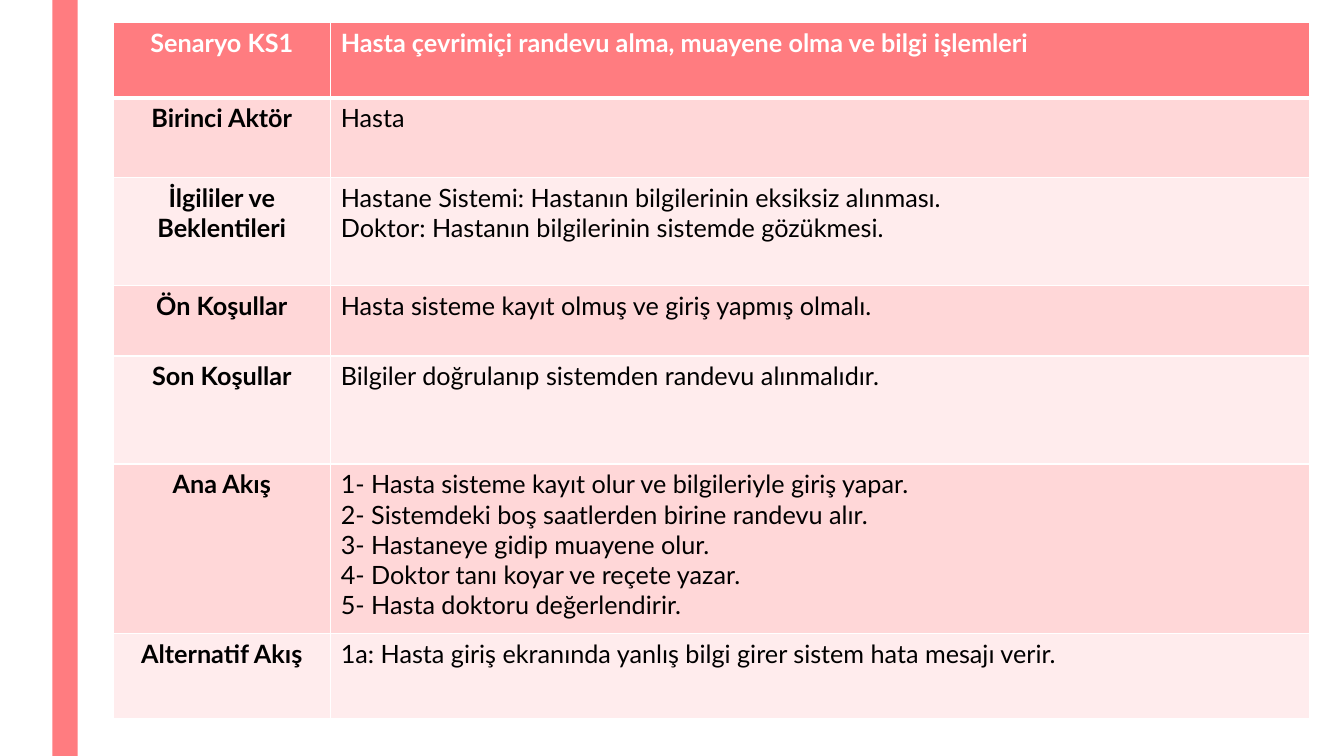
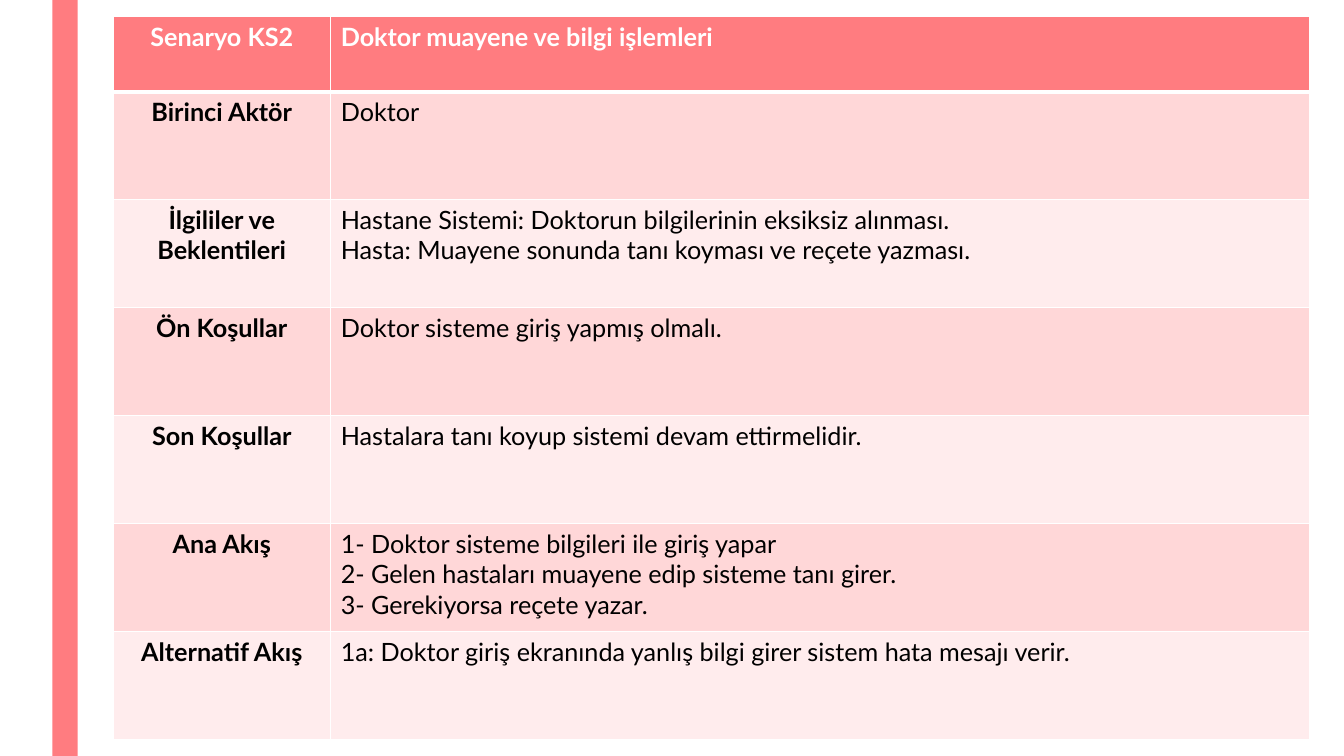
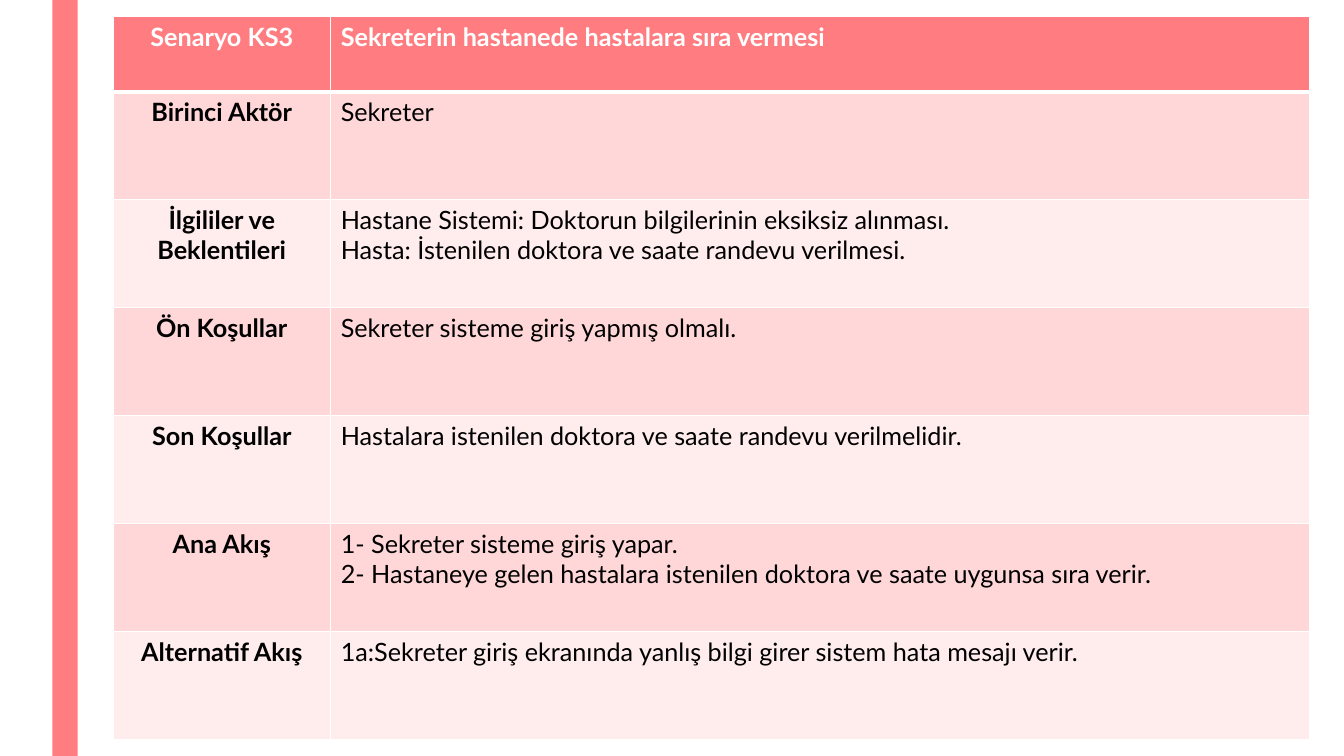
from lxml import etree
from pptx import Presentation
from pptx import util as u
from pptx.dml.color import RGBColor
from pptx.enum import shapes, text
from pptx.oxml.ns import qn

WIDTH, HEIGHT = 13.33, 7.5
FONT, SIZE = "Lato", 18
CORAL, ROSE, BLUSH = "FF7C80", "FFD7D8", "FFECED"
WHITE, BLACK = "FFFFFF", "000000"
BAND_LEFT, BAND_WIDTH = 0.52, 0.25
TABLE_LEFT, COLUMNS = 1.12, (2.16, 9.71)
TABLE_HEIGHT, HEADER_ROW = 7.18, 0.75
BODY_ROW = (TABLE_HEIGHT - HEADER_ROW) / 6
EVEN_ROWS = [HEADER_ROW] + [BODY_ROW] * 6
THIN, THICK = 1, 3

LABELS = [
    "Birinci Aktör",
    "İlgililer ve Beklentileri",
    "Ön Koşullar",
    "Son Koşullar",
    "Ana Akış",
    "Alternatif Akış",
]

SCENARIOS = [
    {
        "name": "Senaryo KS1",
        "top": 0.22,
        "rows": [HEADER_ROW, 0.79, BODY_ROW, 0.7, BODY_ROW, 1.68, 0.85],
        "details": [
            ["Hasta çevrimiçi randevu alma, muayene olma ve bilgi işlemleri"],
            ["Hasta"],
            ["Hastane Sistemi: Hastanın bilgilerinin eksiksiz alınması.",
             "Doktor: Hastanın bilgilerinin sistemde gözükmesi."],
            ["Hasta sisteme kayıt olmuş ve giriş yapmış olmalı."],
            ["Bilgiler doğrulanıp sistemden randevu alınmalıdır."],
            ["1- Hasta sisteme kayıt olur ve bilgileriyle giriş yapar.",
             "2- Sistemdeki boş saatlerden birine randevu alır.",
             "3- Hastaneye gidip muayene olur.",
             "4- Doktor tanı koyar ve reçete yazar.",
             "5- Hasta doktoru değerlendirir."],
            ["1a: Hasta giriş ekranında yanlış bilgi girer sistem hata mesajı verir."],
        ],
    },
    {
        "name": "Senaryo KS2",
        "top": 0.16,
        "rows": EVEN_ROWS,
        "details": [
            ["Doktor muayene ve bilgi işlemleri"],
            ["Doktor"],
            ["Hastane Sistemi: Doktorun bilgilerinin eksiksiz alınması.",
             "Hasta: Muayene sonunda tanı koyması ve reçete yazması."],
            ["Doktor sisteme giriş yapmış olmalı."],
            ["Hastalara tanı koyup sistemi devam ettirmelidir."],
            ["1- Doktor sisteme bilgileri ile giriş yapar",
             "2- Gelen hastaları muayene edip sisteme tanı girer.",
             "3- Gerekiyorsa reçete yazar."],
            ["1a: Doktor giriş ekranında yanlış bilgi girer sistem hata mesajı verir."],
        ],
    },
    {
        "name": "Senaryo KS3",
        "top": 0.16,
        "rows": EVEN_ROWS,
        "details": [
            ["Sekreterin hastanede hastalara sıra vermesi"],
            ["Sekreter"],
            ["Hastane Sistemi: Doktorun bilgilerinin eksiksiz alınması.",
             "Hasta: İstenilen doktora ve saate randevu verilmesi."],
            ["Sekreter sisteme giriş yapmış olmalı."],
            ["Hastalara istenilen doktora ve saate randevu verilmelidir."],
            ["1- Sekreter sisteme giriş yapar.",
             "2- Hastaneye gelen hastalara istenilen doktora ve saate uygunsa sıra verir."],
            ["1a:Sekreter giriş ekranında yanlış bilgi girer sistem hata mesajı verir."],
        ],
    },
]


def paint(fill, color):
    fill.solid()
    fill.fore_color.rgb = RGBColor.from_string(color)


def write(tf, lines, color=BLACK, bold=False, align=text.PP_ALIGN.LEFT):
    for i, line in enumerate(lines):
        p = tf.paragraphs[0] if i == 0 else tf.add_paragraph()
        p.alignment = align
        r = p.add_run()
        r.text = line
        r.font.name, r.font.size, r.font.bold = FONT, u.Pt(SIZE), bold
        paint(r.font.fill, color)


def add_border(cell, side, width):
    ln = etree.SubElement(cell._tc.get_or_add_tcPr(), qn(f"a:ln{side}"), w=str(u.Pt(width)))
    fill = etree.SubElement(ln, qn("a:solidFill"))
    etree.SubElement(fill, qn("a:srgbClr"), val=WHITE)


def format_cell(cell, row, lines, **style):
    thick_side = {0: "B", 1: "T"}.get(row)
    for side in "LRTB":
        add_border(cell, side, THICK if side == thick_side else THIN)
    paint(cell.fill, CORAL if row == 0 else ROSE if row % 2 else BLUSH)
    write(cell.text_frame, lines, color=BLACK if row else WHITE, **style)


def add_scenario(s, scenario):
    rows = scenario["rows"]
    table = s.shapes.add_table(
        len(rows), len(COLUMNS), u.Inches(TABLE_LEFT), u.Inches(scenario["top"]),
        u.Inches(sum(COLUMNS)), u.Inches(sum(rows))).table
    for column, width in zip(table.columns, COLUMNS):
        column.width = u.Inches(width)
    labels = [scenario["name"]] + LABELS
    for i, (height, label, lines) in enumerate(zip(rows, labels, scenario["details"])):
        table.rows[i].height = u.Inches(height)
        format_cell(table.cell(i, 0), i, [label], bold=True, align=text.PP_ALIGN.CENTER)
        format_cell(table.cell(i, 1), i, lines, bold=i == 0)


def add_band(layout, s):
    for ph in list(layout.placeholders):
        ph.element.getparent().remove(ph.element)
    sp = s.shapes.add_shape(
        shapes.MSO_SHAPE.RECTANGLE, u.Inches(BAND_LEFT), 0,
        u.Inches(BAND_WIDTH), u.Inches(HEIGHT))
    sp.shadow.inherit = False
    sp.line.fill.background()
    paint(sp.fill, CORAL)
    layout.shapes.element.append(sp.element)


def main():
    prs = Presentation()
    prs.slide_width, prs.slide_height = u.Inches(WIDTH), u.Inches(HEIGHT)
    layout = prs.slide_layouts.get_by_name("Blank")
    slides = [prs.slides.add_slide(layout) for _ in SCENARIOS]
    add_band(layout, slides[0])
    for s, scenario in zip(slides, SCENARIOS):
        add_scenario(s, scenario)
    prs.save("out.pptx")


if __name__ == "__main__":
    main()
